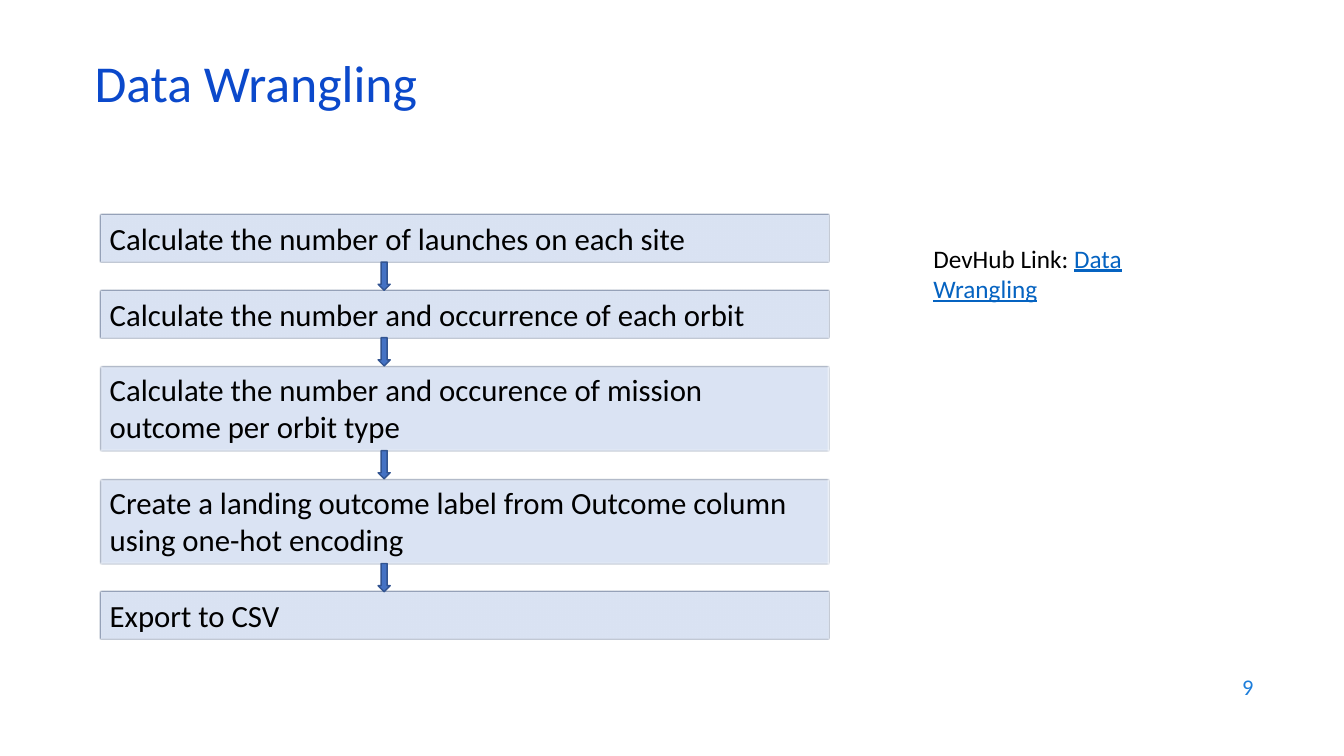
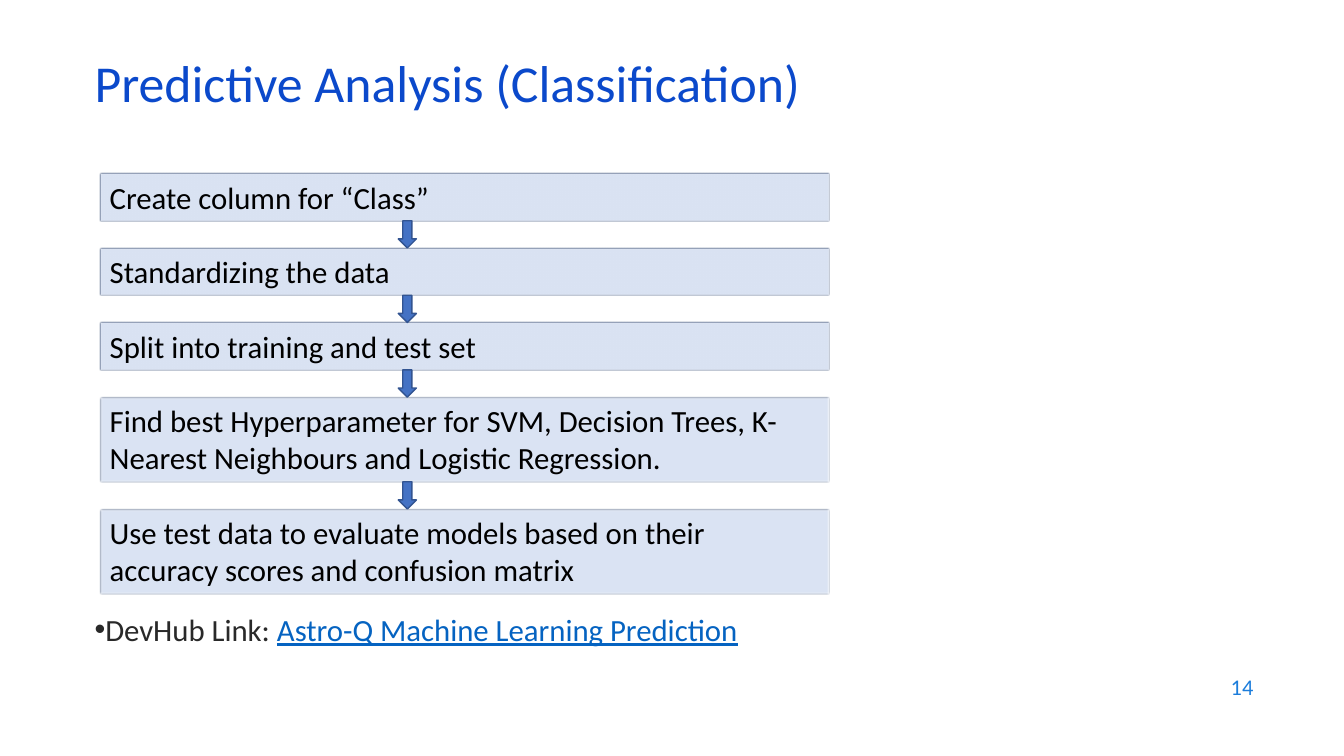
import pptx
import pptx.util
import pptx.dml.color
import pptx.enum.shapes
import pptx.enum.text
import pptx.oxml
import pptx.oxml.ns

Inches = pptx.util.Inches
SHAPES = pptx.enum.shapes.MSO_SHAPE
ALIGN = pptx.enum.text.PP_ALIGN
ANCHOR = pptx.enum.text.MSO_ANCHOR

FONT = "Calibri"
COLORS = {
    "title": "0B49CB",
    "number": "1C7DDB",
    "text": "000000",
    "body": "292929",
    "link": "0563C1",
    "step": "DAE3F3",
    "step_line": "203864",
    "arrow": "4472C4",
    "arrow_line": "325491",
}
STEP_LEFT, STEP_WIDTH = 0.99, 7.23
STEP_HEIGHTS = {1: 0.47, 2: 0.84}


def rgb(name):
    """Return the named colour."""
    return pptx.dml.color.RGBColor.from_string(COLORS[name])


def add_element(parent, tag, **attributes):
    """Append a drawing element with attributes to a parent."""
    element = pptx.oxml.ns.qn(tag)
    child = parent.makeelement(element, attributes)
    parent.append(child)
    return child


def write_text(frame, text, *, size, color="text", link="", align=ALIGN.LEFT,
               anchor=ANCHOR.TOP, line_spacing=None, bullet=None):
    """Write one paragraph, with an optional underlined link after the text."""
    frame.word_wrap = True
    frame.vertical_anchor = anchor
    paragraph = frame.paragraphs[0]
    if bullet:
        properties = paragraph._p.get_or_add_pPr()
        add_element(properties, "a:buFont", typeface="Arial")
        add_element(properties, "a:buChar", char=bullet)
    paragraph.alignment = align
    if line_spacing:
        paragraph.line_spacing = line_spacing
    for words, shade, underline in ((text, color, False), (link, "link", True)):
        if words:
            run = paragraph.add_run()
            run.text = words
            run.font.name = FONT
            run.font.size = pptx.util.Pt(size)
            run.font.color.rgb = rgb(shade)
            if underline:
                run.font.underline = True


def add_text(slide, box, text, **text_format):
    """Add a text box at left, top, width, height."""
    shape = slide.shapes.add_textbox(*map(Inches, box))
    write_text(shape.text_frame, text, **text_format)


def add_filled(slide, kind, box, fill, line):
    """Add a preset shape with a solid fill and a one-point line."""
    shape = slide.shapes.add_shape(kind, *map(Inches, box))
    shape.shadow.inherit = False
    shape.fill.solid()
    shape.fill.fore_color.rgb = rgb(fill)
    shape.line.color.rgb = rgb(line)
    shape.line.width = pptx.util.Pt(1)
    return shape


def add_step(slide, box, text):
    """Add one softly edged step of the flow."""
    shape = add_filled(slide, SHAPES.RECTANGLE, box, "step", "step_line")
    effects = shape._element.spPr.find(pptx.oxml.ns.qn("a:effectLst"))
    add_element(effects, "a:softEdge", rad="12700")
    write_text(shape.text_frame, text, size=22)


def add_flow(slide, steps, *, top, gap, arrow_left, arrow_width):
    """Stack the steps downwards and join them with arrows."""
    arrow_tops = []
    for text, lines in steps:
        height = STEP_HEIGHTS[lines]
        add_step(slide, (STEP_LEFT, top, STEP_WIDTH, height), text)
        arrow_tops.append(top + height)
        top += height + gap
    for arrow_top in arrow_tops[:-1]:
        add_filled(slide, SHAPES.DOWN_ARROW,
                   (arrow_left, arrow_top, arrow_width, gap), "arrow", "arrow_line")


def add_page(presentation, title, number):
    """Add a blank slide with its title and number."""
    slide = presentation.slides.add_slide(presentation.slide_layouts[6])
    add_text(slide, (9.53, 6.59, 3, 0.44), number, size=16, color="number",
             align=ALIGN.RIGHT, anchor=ANCHOR.MIDDLE)
    add_text(slide, (0.84, 0.59, 11.5, 0.6), title, size=37, color="title",
             anchor=ANCHOR.MIDDLE, line_spacing=0.7)
    return slide


def build_wrangling(presentation):
    """Build the data wrangling slide."""
    slide = add_page(presentation, "Data Wrangling", "9")
    steps = [
        ("Calculate the number of launches on each site", 1),
        ("Calculate the number and occurrence of each orbit", 1),
        ("Calculate the number and occurence of mission outcome per orbit type", 2),
        ("Create a landing outcome label from Outcome column using one-hot encoding", 2),
        ("Export to CSV", 1),
    ]
    add_flow(slide, steps, top=2.13, gap=0.28, arrow_left=3.75, arrow_width=0.12)
    add_text(slide, (9.16, 2.36, 3, 0.71), "DevHub Link: ", size=18,
             link="Data Wrangling")


def build_prediction(presentation):
    """Build the predictive analysis slide."""
    slide = add_page(presentation, "Predictive Analysis (Classification)", "14")
    steps = [
        ("Create column for “Class”", 1),
        ("Standardizing the data", 1),
        ("Split into training and test set", 1),
        ("Find best Hyperparameter for SVM, Decision Trees, "
         "K-Nearest Neighbours and Logistic Regression.", 2),
        ("Use test data to evaluate models based on their "
         "accuracy scores and confusion matrix", 2),
    ]
    add_flow(slide, steps, top=1.72, gap=0.27, arrow_left=3.95, arrow_width=0.18)
    add_text(slide, (0.84, 6.01, 10.66, 0.8), "DevHub Link: ", size=22, color="body",
             link="Astro-Q Machine Learning Prediction", bullet="•")


def main():
    """Build and save the presentation."""
    presentation = pptx.Presentation()
    presentation.slide_width = Inches(13.33)
    presentation.slide_height = Inches(7.5)
    build_wrangling(presentation)
    build_prediction(presentation)
    presentation.save("out.pptx")


if __name__ == "__main__":
    main()
